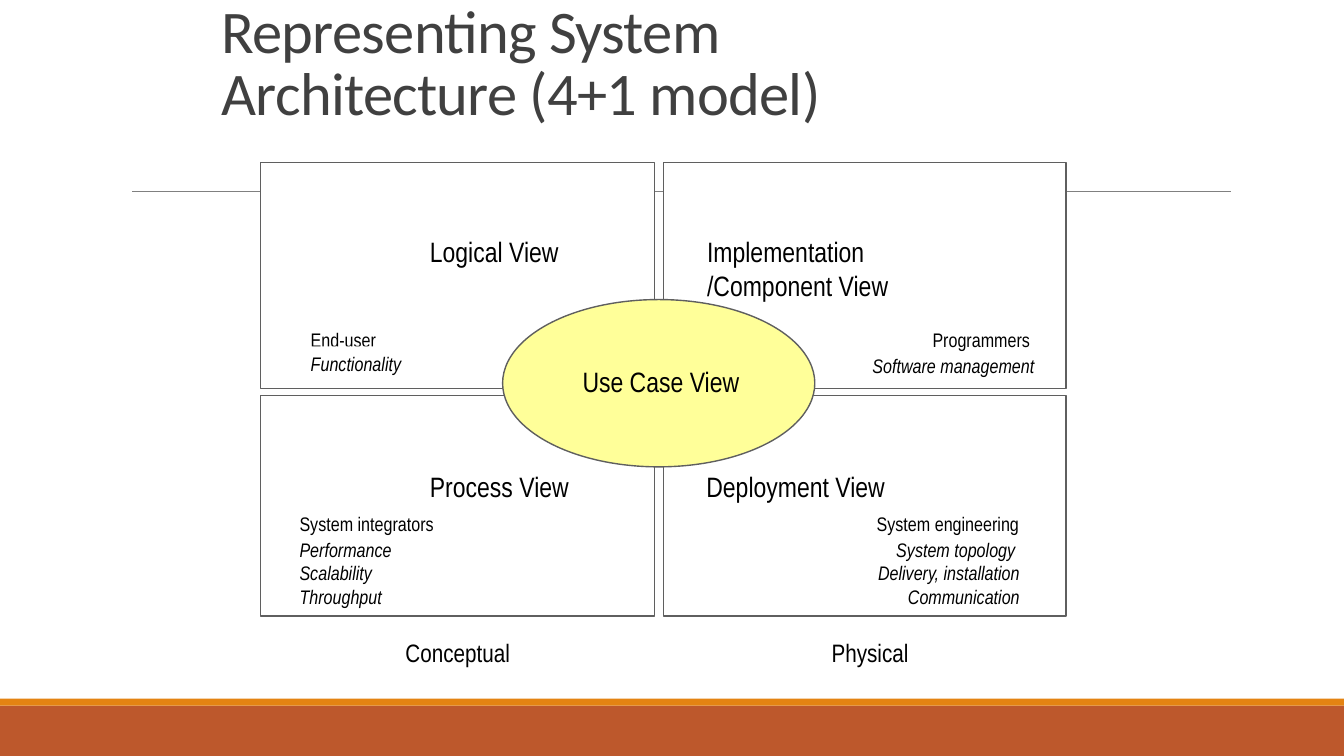
from pptx import Presentation
from pptx import util as u
from pptx.dml.color import RGBColor
from pptx.enum import shapes, text
from pptx.oxml.ns import qn
from lxml import etree

WHITE = RGBColor(0xFF, 0xFF, 0xFF)
BLACK = RGBColor(0, 0, 0)
TITLE_GRAY = RGBColor(0x40, 0x40, 0x40)
OUTLINE = RGBColor(0x5F, 0x5F, 0x5F)
RULE_GRAY = RGBColor(0x80, 0x80, 0x80)
RUST = RGBColor(0xBD, 0x58, 0x2C)
ORANGE = RGBColor(0xE4, 0x83, 0x12)
YELLOW = RGBColor(0xFF, 0xFF, 0x99)
RECT, OVAL = shapes.MSO_SHAPE.RECTANGLE, shapes.MSO_SHAPE.OVAL
LEFT, CENTER, RIGHT = text.PP_ALIGN.LEFT, text.PP_ALIGN.CENTER, text.PP_ALIGN.RIGHT

prs = Presentation()
prs.slide_width, prs.slide_height = u.Pt(960), u.Pt(540)
s = prs.slides.add_slide(prs.slide_layouts[5])


def add_box(kind, box, fill, line=None):
    sp = s.shapes.add_shape(kind, *map(u.Pt, box))
    sp.shadow.inherit = False
    sp.fill.solid()
    sp.fill.fore_color.rgb = fill
    if line is None:
        sp.line.fill.background()
    else:
        sp.line.color.rgb = line
        sp.line.width = u.Pt(1)
    return sp


def add_label(box, lines, size, align=LEFT, wrap=True, fill=WHITE, inset=(7.2, 3.6)):
    """Each line is (wording, italic)."""
    sp = s.shapes.add_textbox(*map(u.Pt, box))
    if fill is not None:
        sp.fill.solid()
        sp.fill.fore_color.rgb = fill
    tf = sp.text_frame
    tf.word_wrap = wrap
    tf.margin_left = tf.margin_right = u.Pt(inset[0])
    tf.margin_top = tf.margin_bottom = u.Pt(inset[1])
    for i, (wording, italic) in enumerate(lines):
        p = tf.add_paragraph() if i else tf.paragraphs[0]
        p.text = wording
        p.alignment = align
        p.font.name, p.font.size = "Arial Narrow", u.Pt(size)
        p.font.italic = italic
        p.font.color.rgb = BLACK
    return tf


# Footer bands and title rule
add_box(RECT, (0, 504, 960, 36), RUST)
add_box(RECT, (0, 499, 960, 5), ORANGE)
rule = s.shapes.add_connector(shapes.MSO_CONNECTOR.STRAIGHT,
                              u.Pt(94.5), u.Pt(136.8), u.Pt(879), u.Pt(136.8))
rule.line.color.rgb = RULE_GRAY
rule.line.width = u.Pt(0.5)
etree.SubElement(rule._element.spPr, qn("a:effectLst"))

# Title
title = s.shapes.title
title.left, title.top, title.width, title.height = map(u.Pt, (151, 39, 546, 56))
tf = title.text_frame
tf.text = "Representing System Architecture (4+1 model)"
tf.word_wrap = True
tf.auto_size = text.MSO_AUTO_SIZE.NONE
tf.vertical_anchor = text.MSO_ANCHOR.BOTTOM
p = tf.paragraphs[0]
p.alignment = LEFT
p.line_spacing = 0.85
p.font.name, p.font.size = "Calibri", u.Pt(43.2)
p.font.color.rgb = TITLE_GRAY
p.runs[0].font._element.set("spc", "-50")

# Four quadrants
for top, height in ((116, 161.5), (282.5, 157.5)):
    for left, width in ((186, 281.5), (474, 287.5)):
        add_box(RECT, (left, top, width, height), WHITE, OUTLINE)

# View names
for box, name in (
    ((300, 164, 127, 32), "Logical View"),
    ((498, 164, 199, 55), "Implementation /Component View"),
    ((300, 332, 135, 32), "Process View"),
    ((497.5, 332, 183, 32), "Deployment View"),
):
    add_label(box, [(name, False)], 20)

# Stakeholders and, in italics, their concerns
for box, align, lines in (
    ((214, 230, 66, 25), LEFT, [("End-user", False)]),
    ((214, 247.5, 81, 25), LEFT, [("Functionality", True)]),
    ((612, 230, 135, 44), RIGHT, [("Programmers ", False), ("Software management", True)]),
    ((206, 380, 83, 59), LEFT,
     [("Performance", True), ("Scalability", True), ("Throughput", True)]),
    ((206, 362, 113, 25), LEFT, [("System integrators", False)]),
    ((534, 380, 202.5, 59), RIGHT,
     [("System topology ", True), ("Delivery, installation", True), ("Communication", True)]),
    ((617, 362, 119, 25), RIGHT, [("System engineering", False)]),
):
    tf = add_label(box, lines, 14, align, wrap=box[2] > 200, inset=(8, 4))
    if lines[0][0].startswith("Programmers"):
        r = tf.paragraphs[1].add_run()
        r.text = " "
        r.font.size, r.font.italic = u.Pt(16), False

# Column captions
for left, caption in ((273, "Conceptual"), (567.5, "Physical")):
    tf = add_label((left, 456.5, 108, 36.5), [(caption, False)], 18, CENTER,
                   fill=None, inset=(3, 1.5))
    tf.paragraphs[0].line_spacing = u.Pt(19)
    tf.paragraphs[0].space_before = u.Pt(9)

# Central use case view
add_box(OVAL, (359, 214, 223, 119.5), YELLOW, OUTLINE)
add_label((409, 257, 142.5, 32), [("Use Case View", False)], 20, fill=None)

prs.save("out.pptx")
